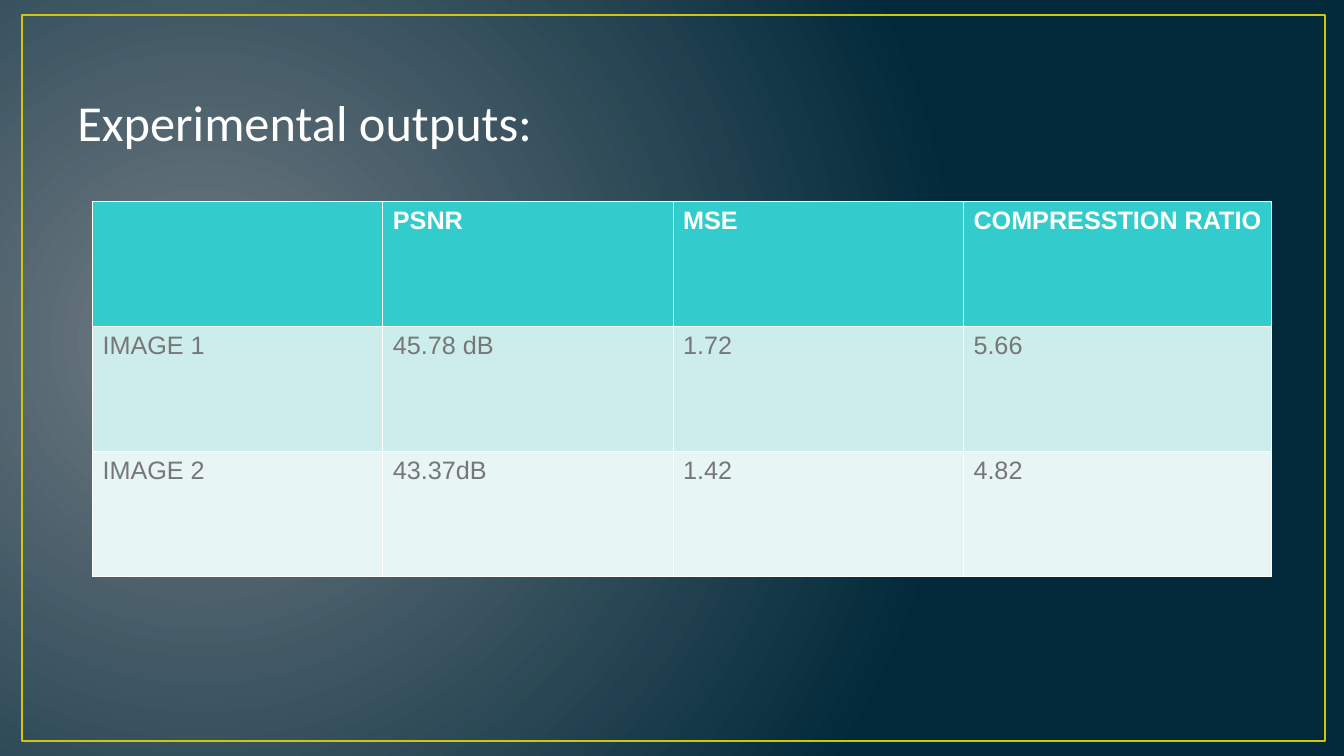
import dataclasses
import typing

import lxml.etree
import pptx
import pptx.dml.color
import pptx.enum.shapes
import pptx.enum.text
import pptx.oxml
import pptx.oxml.ns
import pptx.util


@dataclasses.dataclass(frozen=True)
class Theme:
    glow: str = "717C84"
    night: str = "01293A"
    frame: str = "CFC60D"
    white: str = "FFFFFF"
    body_text: str = "777777"
    header_fill: str = "33CCCC"
    title_font: str = "Calibri"
    table_font: str = "Arial"
    title_size: float = 36
    table_size: float = 18
    frame_width: float = 1.5
    border_width: float = 0.96


@dataclasses.dataclass(frozen=True)
class Box:
    left: float
    top: float
    width: float
    height: float

    def lengths(self) -> list[pptx.util.Pt]:
        return [pptx.util.Pt(value) for value in dataclasses.astuple(self)]


@dataclasses.dataclass(frozen=True)
class ResultRow:
    values: tuple[str, ...]
    fill: str
    color: str
    bold: bool = False


THEME = Theme()
FRAME_BOX = Box(15.84, 10.8, 930.96, 518.4)
TITLE_BOX = Box(48, 21.6, 864, 90)
TABLE_BOX = Box(66.1, 143.9, 842.4, 267.84)
COLUMN_WIDTHS = (207.36, 207.36, 207.36, 220.32)
RESULTS = (
    ResultRow(("", "PSNR", "MSE", "COMPRESSTION RATIO"), THEME.header_fill, THEME.white, True),
    ResultRow(("IMAGE 1", "45.78 dB", "1.72", "5.66"), "CDECEC", THEME.body_text),
    ResultRow(("IMAGE 2", "43.37dB", "1.42", "4.82"), "E8F5F5", THEME.body_text),
)


def rgb(color: str) -> pptx.dml.color.RGBColor:
    return pptx.dml.color.RGBColor.from_string(color)


def write_text(
    text_frame: typing.Any,
    text: str,
    *,
    font: str,
    size: float,
    color: str,
    bold: bool = False,
    line_spacing: float = 1.0,
) -> None:
    paragraph = text_frame.paragraphs[0]
    paragraph.alignment = pptx.enum.text.PP_ALIGN.LEFT
    paragraph.line_spacing = line_spacing
    run = paragraph.add_run()
    run.text = text
    run.font.name = font
    run.font.size = pptx.util.Pt(size)
    run.font.bold = bold
    run.font.color.rgb = rgb(color)


def paint_background(slide: typing.Any) -> None:
    fill = slide.background.fill
    fill.gradient()
    for stop, color in zip(fill.gradient_stops, (THEME.glow, THEME.night)):
        stop.color.rgb = rgb(color)
    gradient = slide.element.find(".//" + pptx.oxml.ns.qn("a:gradFill"))
    gradient.remove(gradient.find(pptx.oxml.ns.qn("a:lin")))
    circle = lxml.etree.SubElement(gradient, pptx.oxml.ns.qn("a:path"), {"path": "circle"})
    lxml.etree.SubElement(
        circle,
        pptx.oxml.ns.qn("a:fillToRect"),
        {"l": "15000", "t": "50000", "r": "85000", "b": "60000"},
    )


def draw_frame(slide: typing.Any, box: Box) -> None:
    shape = slide.shapes.add_shape(pptx.enum.shapes.MSO_SHAPE.RECTANGLE, *box.lengths())
    shape.shadow.inherit = False
    shape.fill.background()
    shape.line.color.rgb = rgb(THEME.frame)
    shape.line.width = pptx.util.Pt(THEME.frame_width)


def draw_title(slide: typing.Any, text: str, box: Box) -> None:
    title = slide.shapes.title
    title.left, title.top, title.width, title.height = box.lengths()
    text_frame = title.text_frame
    text_frame.auto_size = pptx.enum.text.MSO_AUTO_SIZE.NONE
    text_frame.vertical_anchor = pptx.enum.text.MSO_ANCHOR.BOTTOM
    write_text(text_frame, text, font=THEME.title_font, size=THEME.title_size, color=THEME.white)


def draw_borders(cell: typing.Any) -> None:
    properties = cell._tc.get_or_add_tcPr()
    for position, side in enumerate(("lnL", "lnR", "lnT", "lnB")):
        border = pptx.oxml.parse_xml(
            f'<a:{side} {pptx.oxml.ns.nsdecls("a")} w="{int(pptx.util.Pt(THEME.border_width))}">'
            f'<a:solidFill><a:srgbClr val="{THEME.white}"/></a:solidFill></a:{side}>'
        )
        properties.insert(position, border)


def draw_cell(cell: typing.Any, text: str, row: ResultRow) -> None:
    cell.fill.solid()
    cell.fill.fore_color.rgb = rgb(row.fill)
    cell.margin_left = cell.margin_right = pptx.util.Pt(7.2)
    cell.margin_top = pptx.util.Pt(5)
    cell.margin_bottom = pptx.util.Pt(3.6)
    draw_borders(cell)
    if text:
        write_text(
            cell.text_frame,
            text,
            font=THEME.table_font,
            size=THEME.table_size,
            color=row.color,
            bold=row.bold,
            line_spacing=0.93,
        )


def draw_table(slide: typing.Any, rows: tuple[ResultRow, ...], box: Box) -> None:
    table = slide.shapes.add_table(len(rows), len(COLUMN_WIDTHS), *box.lengths()).table
    for column, width in zip(table.columns, COLUMN_WIDTHS):
        column.width = pptx.util.Pt(width)
    for table_row, row in zip(table.rows, rows):
        table_row.height = pptx.util.Pt(box.height / len(rows))
        for cell, text in zip(table_row.cells, row.values):
            draw_cell(cell, text, row)


def main() -> None:
    presentation = pptx.Presentation()
    presentation.slide_width = pptx.util.Pt(960)
    presentation.slide_height = pptx.util.Pt(540)
    slide = presentation.slides.add_slide(presentation.slide_layouts.get_by_name("Title Only"))
    paint_background(slide)
    draw_frame(slide, FRAME_BOX)
    draw_title(slide, "Experimental outputs:", TITLE_BOX)
    draw_table(slide, RESULTS, TABLE_BOX)
    presentation.save("out.pptx")


if __name__ == "__main__":
    main()
